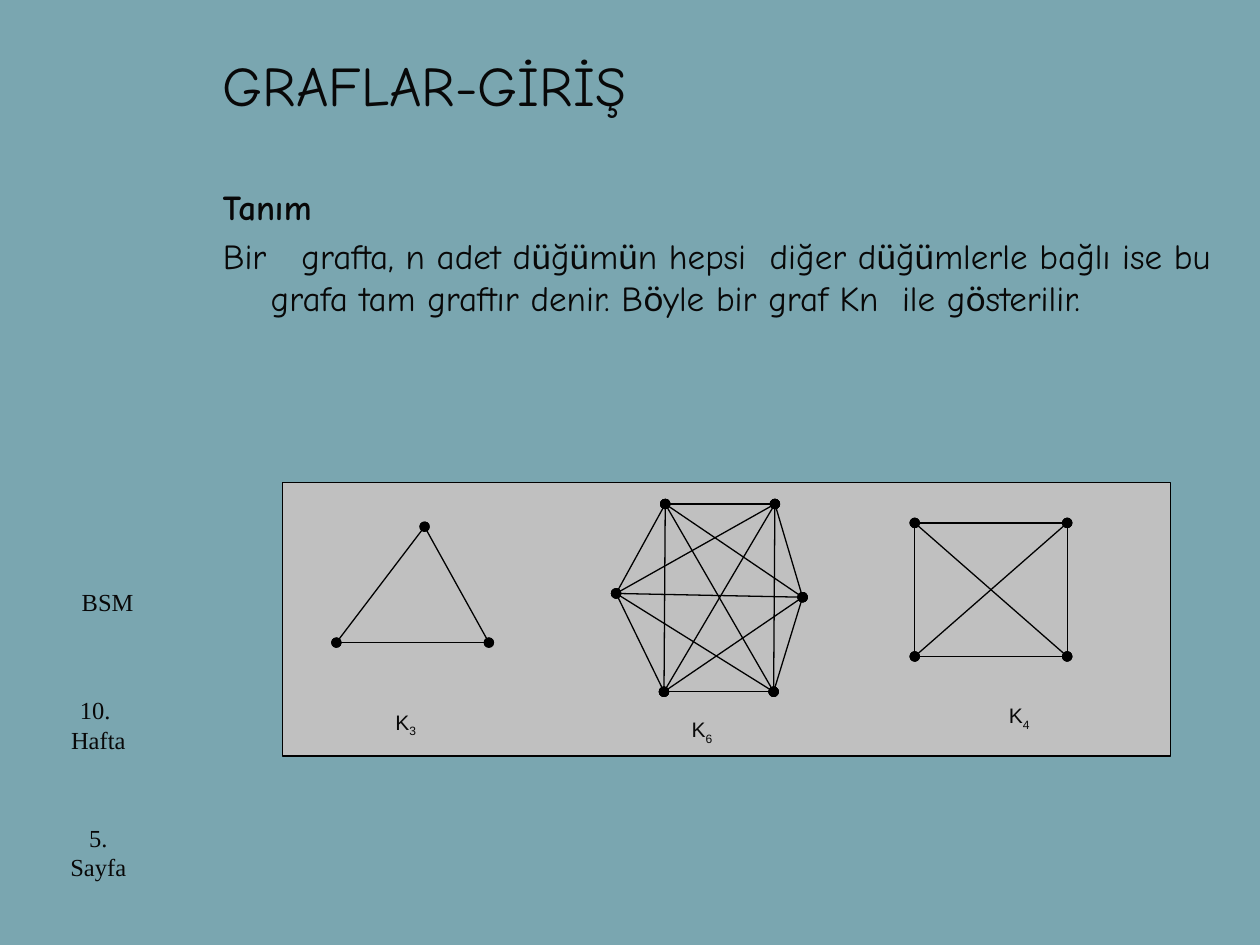
from itertools import combinations, groupby

from lxml.etree import SubElement
from pptx import Presentation
from pptx.dml.color import RGBColor
from pptx.enum.shapes import MSO_CONNECTOR, MSO_SHAPE
from pptx.enum.text import MSO_ANCHOR, PP_ALIGN
from pptx.oxml.ns import qn
from pptx.util import Inches, Pt

THEME = {
    "background": RGBColor.from_string("7AA6B0"),
    "panel": RGBColor.from_string("C0C0C0"),
    "line": RGBColor.from_string("000000"),
    "text": RGBColor.from_string("080808"),
    "line_width": Pt(0.75),
    "title": {"name": "Comic Neue", "size": Pt(32)},
    "heading": {"name": "Comic Neue", "size": Pt(20), "bold": True},
    "body": {"name": "Comic Neue", "size": Pt(20), "bold": False},
    "accented": {"name": "Lato", "size": Pt(20), "bold": False},
    "label": {"name": "Arial", "size": Pt(12)},
    "footer": {"name": "Times New Roman", "size": Pt(14)},
}


def add_frame(left, top, width, height):
    box = slide.shapes.add_textbox(Inches(left), Inches(top), Inches(width), Inches(height))
    box.text_frame.word_wrap = True
    return box.text_frame


def add_run(paragraph, text, style):
    run = paragraph.add_run()
    run.text = text
    for key, value in THEME[style].items():
        setattr(run.font, key, value)
    run.font.color.rgb = THEME["text"]
    return run


presentation = Presentation()
presentation.slide_width, presentation.slide_height = Inches(10), Inches(7.5)
slide = presentation.slides.add_slide(presentation.slide_layouts[6])
slide.background.fill.solid()
slide.background.fill.fore_color.rgb = THEME["background"]

# Title
title = add_frame(1.67, 0.08, 8.07, 1.17)
title.vertical_anchor = MSO_ANCHOR.MIDDLE
add_run(title.paragraphs[0], "GRAFLAR-GİRİŞ", "title")

# Definition, with ü and ö set in their own font
definition = add_frame(1.67, 1.42, 8.08, 1.5)
heading = definition.paragraphs[0]
statement = definition.add_paragraph()
for paragraph in (heading, statement):
    properties = paragraph._p.get_or_add_pPr()
    properties.set("marL", str(Inches(0.38)))
    properties.set("indent", str(Inches(-0.38)))
statement.space_before = Pt(4)
add_run(heading, "Tanım", "heading")
sentence = (
    "Bir   grafta, n adet düğümün hepsi  diğer düğümlerle bağlı ise bu "
    "grafa tam graftır denir. Böyle bir graf Kn  ile gösterilir."
)
for is_accented, letters in groupby(sentence, lambda letter: letter in "üö"):
    add_run(statement, "".join(letters), "accented" if is_accented else "body")

# Panel behind the graphs
panel = slide.shapes.add_shape(
    MSO_SHAPE.RECTANGLE, Inches(2.24), Inches(3.83), Inches(7.05), Inches(2.17)
)
panel.shadow.inherit = False
panel.fill.solid()
panel.fill.fore_color.rgb = THEME["panel"]
panel.line.color.rgb = THEME["line"]
panel.line.width = THEME["line_width"]

# Complete graphs: every pair of nodes is joined
graphs = [
    ((3.04, 5.58), [(3.37, 4.18), (2.67, 5.1), (3.88, 5.1)]),
    ((5.39, 5.64), [(5.28, 4), (6.15, 4), (6.37, 4.74), (6.14, 5.49), (5.27, 5.49), (4.89, 4.71)]),
    ((7.91, 5.53), [(7.26, 4.15), (8.47, 4.15), (8.47, 5.21), (7.26, 5.21)]),
]
for (label_left, label_top), nodes in graphs:
    for start, end in combinations(nodes, 2):
        edge = slide.shapes.add_connector(
            MSO_CONNECTOR.STRAIGHT, *(Inches(value) for value in start + end)
        )
        edge.line.color.rgb = THEME["line"]
        edge.line.width = THEME["line_width"]
        for tag in ("a:headEnd", "a:tailEnd"):
            SubElement(edge.line._get_or_add_ln(), qn(tag), type="oval")
        SubElement(edge._element.spPr, qn("a:effectLst"))
    label = add_frame(label_left, label_top, 0.5, 0.43).paragraphs[0]
    add_run(label, "K", "label")
    order = add_run(label, str(len(nodes)), "label")
    order.font._element.set("baseline", "-25000")

# Course, week and page
footers = [
    ("BSM", (0.55, 4.61, 0.62, 0.34), PP_ALIGN.LEFT),
    ("10.  Hafta", (0.39, 5.47, 0.78, 0.7), PP_ALIGN.CENTER),
    ("5. Sayfa", (0.39, 6.48, 0.78, 0.62), PP_ALIGN.CENTER),
]
for text, place, alignment in footers:
    footer = add_frame(*place).paragraphs[0]
    footer.alignment = alignment
    add_run(footer, text, "footer")

presentation.save("out.pptx")
